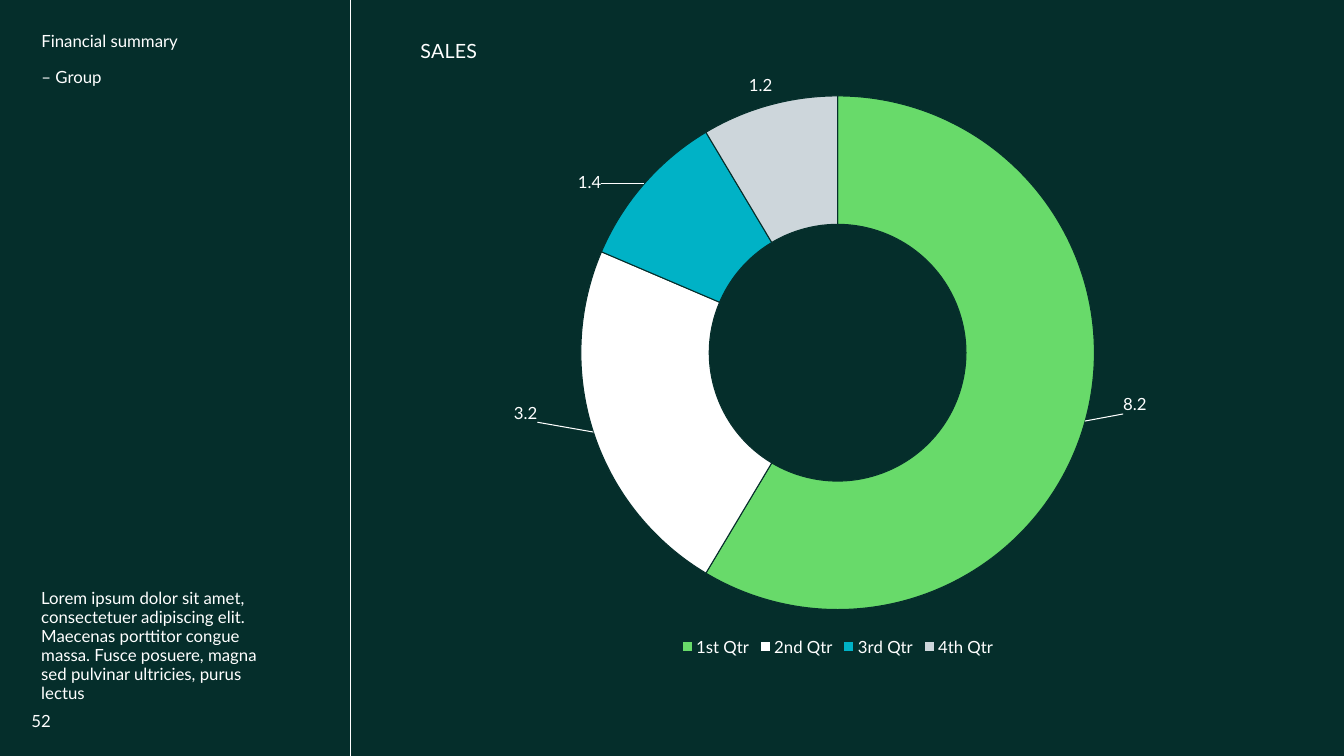
"""Build the group financial summary slide with a doughnut chart of sales."""
import pptx
import pptx.chart.data
import pptx.dml.color
import pptx.enum.chart
import pptx.enum.shapes
import pptx.enum.text
import pptx.oxml
import pptx.oxml.ns
import pptx.util
from pptx.util import Cm

DARK = pptx.dml.color.RGBColor(0x05, 0x2E, 0x2B)
WHITE = pptx.dml.color.RGBColor(0xFF, 0xFF, 0xFF)
GREEN = pptx.dml.color.RGBColor(0x68, 0xDA, 0x6A)
TEAL = pptx.dml.color.RGBColor(0x00, 0xB2, 0xC6)
GREY = pptx.dml.color.RGBColor(0xCD, 0xD6, 0xDB)
FONT = "Lato"

HEADING = ["Financial summary", "– Group"]
SUMMARY = ["Lorem ipsum dolor sit amet, consectetuer adipiscing elit. Maecenas "
           "porttitor congue massa. Fusce posuere, magna sed pulvinar ultricies, "
           "purus lectus"]
PAGE_NUMBER = ["52"]
CHART_TITLE = "SALES"
QUARTERS = [
    ("1st Qtr", 8.2, GREEN, (0.13, 0)),
    ("2nd Qtr", 3.2, WHITE, (-0.15, 0)),
    ("3rd Qtr", 1.4, TEAL, (-0.12, -0.07)),
    ("4th Qtr", 1.2, GREY, (-0.03, -0.13)),
]
TITLE_CORNER = {"x": 0.01, "y": 0.01}
RING_AREA = {"x": 0.2, "y": 0.11, "w": 0.6, "h": 0.81}

PAGE_WIDTH, PAGE_HEIGHT = Cm(33.87), Cm(19.05)
MARGIN = Cm(0.79)
DIVIDER_X = Cm(8.84)


def style(font, size=12):
    """Apply the slide's typeface in white."""
    font.name = FONT
    font.size = pptx.util.Pt(size)
    font.bold = False
    font.color.rgb = WHITE


def write(box, lines, spacing, gap=0):
    """Write one paragraph per line into a top-left aligned box."""
    frame = box.text_frame
    frame.word_wrap = True
    frame.auto_size = pptx.enum.text.MSO_AUTO_SIZE.NONE
    frame.vertical_anchor = pptx.enum.text.MSO_ANCHOR.TOP
    for index, line in enumerate(lines):
        para = frame.add_paragraph() if index else frame.paragraphs[0]
        para.alignment = pptx.enum.text.PP_ALIGN.LEFT
        para.line_spacing = spacing
        para.space_before = pptx.util.Pt(gap if index else 0)
        span = para.add_run()
        span.text = line
        style(span.font)
    return frame


def chart_element(markup):
    """Parse a chart element with its namespaces."""
    head, tail = markup.split(">", 1)
    return pptx.oxml.parse_xml(f"{head} {pptx.oxml.ns.nsdecls('c', 'a')}>{tail}")


def manual_layout(sizes, edge=False, inner=False):
    """Make a layout element from fractions of the chart."""
    target = '<c:layoutTarget val="inner"/>' if inner else ""
    modes = '<c:xMode val="edge"/><c:yMode val="edge"/>' if edge else ""
    places = "".join(f'<c:{key} val="{value}"/>' for key, value in sizes.items())
    return chart_element(
        f"<c:layout><c:manualLayout>{target}{modes}{places}</c:manualLayout></c:layout>")


def set_layout(parent, layout, after=None):
    """Replace the layout of a chart part, placing it after a given child."""
    for old in parent.xpath("./c:layout"):
        parent.remove(old)
    if after is None:
        parent.insert(0, layout)
    else:
        after.addnext(layout)


def add_sales_chart(page):
    """Add the doughnut chart with labels set outside the ring."""
    data = pptx.chart.data.CategoryChartData()
    data.categories = [quarter[0] for quarter in QUARTERS]
    data.add_series("Series 1", [quarter[1] for quarter in QUARTERS])
    chart = page.shapes.add_chart(
        pptx.enum.chart.XL_CHART_TYPE.DOUGHNUT,
        Cm(10.29), Cm(0.66), Cm(21.64), Cm(15.98), data).chart
    style(chart.font)

    chart.has_title = True
    span = chart.chart_title.text_frame.paragraphs[0].add_run()
    span.text = CHART_TITLE
    style(span.font, 14)
    chart.has_legend = True
    chart.legend.position = pptx.enum.chart.XL_LEGEND_POSITION.BOTTOM
    chart.legend.include_in_layout = False
    style(chart.legend.font)

    plot = chart.plots[0]
    plot.vary_by_categories = True
    series = plot.series[0]
    labels = series.data_labels
    labels.show_value = True
    style(labels.font)
    for index, (name, value, color, shift) in enumerate(QUARTERS):
        point = series.points[index]
        point.format.fill.solid()
        point.format.fill.fore_color.rgb = color
        point.format.line.color.rgb = DARK
        point.format.line.width = pptx.util.Pt(0.75)
        style(point.data_label.font)

    root = chart.element
    title = root.xpath("./c:chart/c:title")[0]
    set_layout(title, manual_layout(TITLE_CORNER, edge=True), title.xpath("./c:tx")[0])
    set_layout(root.xpath("./c:chart/c:plotArea")[0],
               manual_layout(RING_AREA, edge=True, inner=True))
    group = root.xpath(".//c:ser/c:dLbls")[0]
    for label, quarter in zip(group.xpath("./c:dLbl"), QUARTERS):
        set_layout(label, manual_layout(dict(zip("xy", quarter[3]))),
                   label.xpath("./c:idx")[0])
    for old in group.xpath("./c:showLeaderLines"):
        group.remove(old)
    group.append(chart_element('<c:showLeaderLines val="1"></c:showLeaderLines>'))
    group.append(chart_element(
        '<c:leaderLines><c:spPr><a:ln w="9525"><a:solidFill>'
        f'<a:srgbClr val="{WHITE}"/></a:solidFill></a:ln></c:spPr></c:leaderLines>'))


def main():
    """Assemble and save the slide."""
    deck = pptx.Presentation()
    deck.slide_width, deck.slide_height = PAGE_WIDTH, PAGE_HEIGHT
    page = deck.slides.add_slide(deck.slide_layouts[5])
    page.background.fill.solid()
    page.background.fill.fore_color.rgb = DARK

    divider = page.shapes.add_connector(
        pptx.enum.shapes.MSO_CONNECTOR.STRAIGHT, DIVIDER_X, 0, DIVIDER_X, PAGE_HEIGHT)
    divider.line.color.rgb = WHITE
    divider.line.width = pptx.util.Pt(1)
    divider.element.spPr.append(
        pptx.oxml.parse_xml(f"<a:effectLst {pptx.oxml.ns.nsdecls('a')}/>"))

    heading = page.shapes.title
    heading.left, heading.top = MARGIN, Cm(0.71)
    heading.width, heading.height = Cm(5), Cm(1.7)
    write(heading, HEADING, 0.9, gap=12.7)

    summary = page.shapes.add_textbox(MARGIN, Cm(14.71), Cm(6.45), Cm(3.1))
    write(summary, SUMMARY, 0.95)

    number = page.shapes.add_textbox(MARGIN, Cm(17.65), Cm(0.99), Cm(1.02))
    frame = write(number, PAGE_NUMBER, 1.0)
    frame.vertical_anchor = pptx.enum.text.MSO_ANCHOR.MIDDLE
    frame.margin_left = frame.margin_right = frame.margin_top = frame.margin_bottom = 0

    add_sales_chart(page)
    deck.save("out.pptx")


if __name__ == "__main__":
    main()
